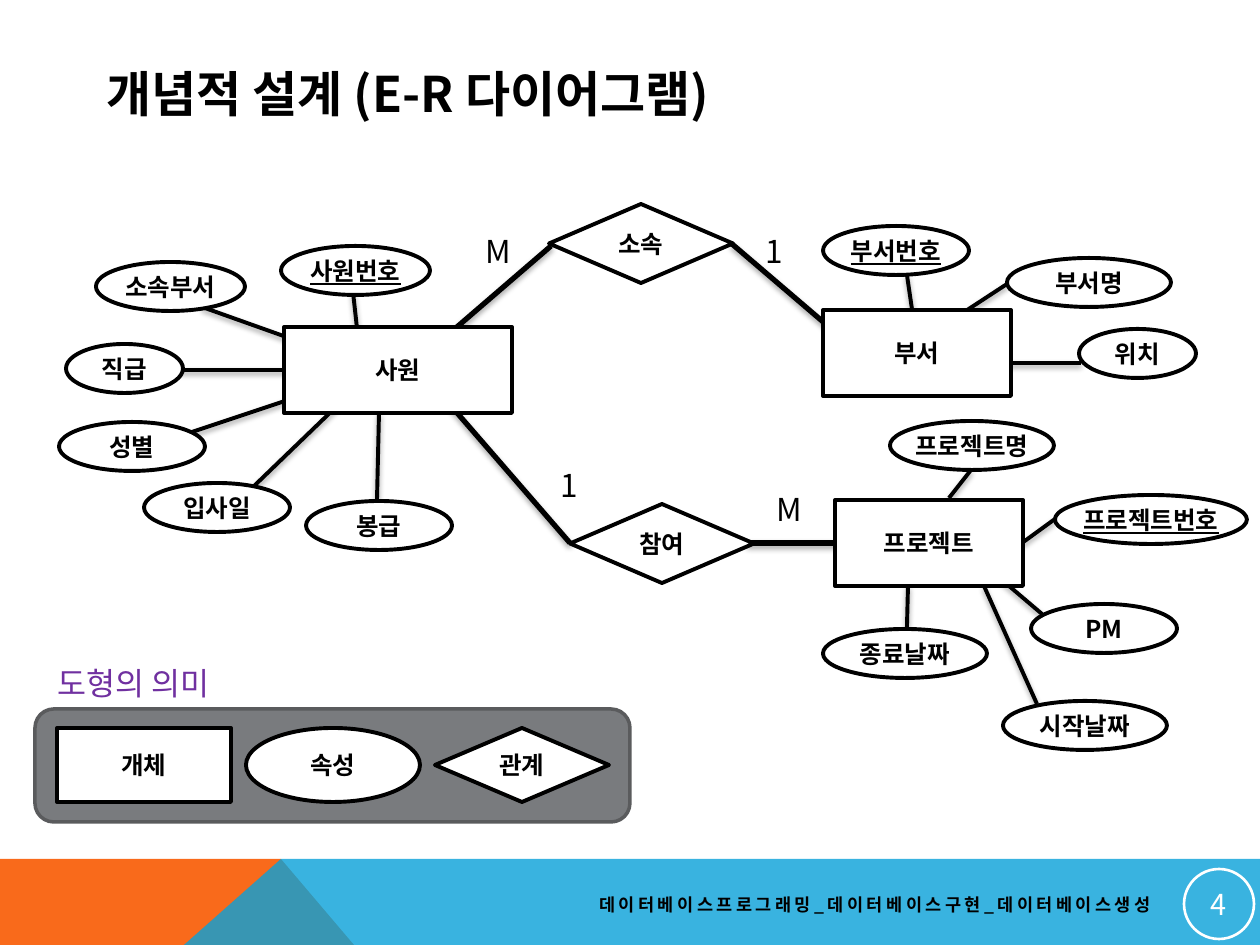
import dataclasses
import pptx
import pptx.util
import pptx.oxml
import pptx.oxml.ns
import pptx.dml.color
import pptx.enum.shapes
import pptx.enum.text

Kind = pptx.enum.shapes.MSO_SHAPE
Align = pptx.enum.text.PP_ALIGN
Anchor = pptx.enum.text.MSO_ANCHOR
NS = pptx.oxml.ns.nsdecls("a")
UNIT = 914400 / 126


@dataclasses.dataclass(frozen=True)
class Theme:
    """Colours and type sizes."""
    font: str = "Noto Sans CJK KR"
    ink: str = "000000"
    paper: str = "FFFFFF"
    warm: str = "F96A1B"
    cool: str = "08A1D9"
    panel: str = "797B7E"
    edge: str = "5A5B5D"
    accent: str = "7030A0"
    title: float = 28
    label: float = 18
    number: float = 16.5
    node: float = 14
    foot: float = 10


THEME = Theme()


def emu(*nums):
    """Turn pixels into EMU."""
    return [round(n * UNIT) for n in nums]


def shift(box, x, y):
    """Return a point relative to the corner of a box."""
    return box[0] + x, box[1] + y


def rgb(code):
    """Make a colour from its hex code."""
    return pptx.dml.color.RGBColor.from_string(code)


def write(shape, text, size, color=THEME.ink, bold=False, under=False,
          align=Align.CENTER, anchor=Anchor.MIDDLE, wrap=False, gap=0):
    """Put one styled paragraph into a shape."""
    frame = shape.text_frame
    frame.text = text
    frame.word_wrap = wrap
    frame.vertical_anchor = anchor
    para = frame.paragraphs[0]
    para.alignment = align
    font = para.font
    font.size = pptx.util.Pt(size)
    font.bold = bold
    font.underline = under
    font.color.rgb = rgb(color)
    font.name = THEME.font
    props = para._p.pPr.find(pptx.oxml.ns.qn("a:defRPr"))
    props.append(pptx.oxml.parse_xml(f'<a:ea {NS} typeface="{THEME.font}"/>'))
    if gap:
        props.set("spc", str(gap * 100))


def paint(shape, fill=None, line=None, width=2.25):
    """Set fill and line of a shape, without shadow."""
    shape.shadow.inherit = False
    if fill:
        shape.fill.solid()
        shape.fill.fore_color.rgb = rgb(fill)
    else:
        shape.fill.background()
    if line:
        shape.line.color.rgb = rgb(line)
        shape.line.width = pptx.util.Pt(width)
    else:
        shape.line.fill.background()


def node(shapes, kind, box, text, under=False):
    """Draw an outlined shape with a bold name."""
    shape = shapes.add_shape(kind, *emu(*box))
    paint(shape, THEME.paper, THEME.ink)
    write(shape, text, THEME.node, bold=True, under=under)


def note(shapes, box, text, size, **style):
    """Draw a text box."""
    write(shapes.add_textbox(*emu(*box)), text, size, **style)


def link(shapes, start, end, width=2.25):
    """Draw a straight line with a soft shadow."""
    line = shapes.add_connector(pptx.enum.shapes.MSO_CONNECTOR.STRAIGHT,
                                *emu(*start, *end))
    line.line.color.rgb = rgb(THEME.ink)
    line.line.width = pptx.util.Pt(width)
    line._element.spPr.append(pptx.oxml.parse_xml(
        f'<a:effectLst {NS}><a:outerShdw blurRad="40000" dist="23000" '
        'dir="5400000" rotWithShape="0"><a:srgbClr val="000000">'
        '<a:alpha val="35000"/></a:srgbClr></a:outerShdw></a:effectLst>'))


def area(shapes, points, fill):
    """Draw a filled polygon."""
    form = shapes.build_freeform(*points[0], scale=UNIT)
    form.add_line_segments(points[1:], close=True)
    shape = form.convert_to_shape()
    paint(shape, fill)
    return shape


def band(shapes, box, text, page):
    """Draw the bottom band with footer and page number."""
    x, y, w, h = box
    peak, end = (x + 281, y), y + h
    area(shapes, [(x, y), peak, (x + 354, end), (x, end)], THEME.warm)
    blue = area(shapes, [peak, (x + w, y), (x + w, end), (x + 184, end)],
                THEME.cool)
    tint = blue._element.spPr.find(".//" + pptx.oxml.ns.qn("a:srgbClr"))
    tint.append(pptx.oxml.parse_xml(f'<a:alpha {NS} val="80000"/>'))
    note(shapes, (*shift(box, 512, 27), 651, 38), text, THEME.foot,
         bold=True, align=Align.RIGHT, wrap=True, gap=2)
    disc = shapes.add_shape(Kind.OVAL, *emu(*shift(box, 1184, 10), 70, 70))
    paint(disc, None, THEME.paper, 1.5)
    write(disc, page, THEME.number, THEME.paper)
    frame = disc.text_frame
    frame.margin_left = frame.margin_right = emu(1)[0]
    frame.margin_top = frame.margin_bottom = emu(1)[0]


def head(shapes, box, text):
    """Place the slide title."""
    title = shapes.title
    title.left, title.top, title.width, title.height = emu(*box)
    write(title, text, THEME.title, bold=True, align=Align.LEFT, wrap=True)
    title.text_frame.auto_size = pptx.enum.text.MSO_AUTO_SIZE.NONE


def tie(shapes, box, name, arms):
    """Draw a relation with its arms and their counts."""
    for text, spot, start, end in arms:
        link(shapes, shift(box, *start), shift(box, *end), 3)
        note(shapes, (*shift(box, *spot), 54, 50), text, THEME.label,
             align=Align.LEFT, anchor=Anchor.TOP)
    node(shapes, Kind.DIAMOND, box, name)


def entity(shapes, box, name, traits):
    """Draw an entity with its attributes; the key is underlined."""
    for text, spot, width, start, end in traits:
        link(shapes, shift(box, *start), shift(box, *end))
        node(shapes, Kind.OVAL, (*shift(box, *spot), width, 49), text,
             under=text.endswith("번호"))
    node(shapes, Kind.RECTANGLE, box, name)


def legend(shapes, box, text, items):
    """Draw the key to the shapes."""
    panel = shapes.add_shape(Kind.ROUNDED_RECTANGLE, *emu(*box))
    paint(panel, THEME.panel, THEME.edge, 2)
    note(shapes, (*shift(box, 10, -51), 195, 50), text, THEME.label,
         color=THEME.accent, align=Align.LEFT, anchor=Anchor.TOP)
    group = shapes.add_group_shape().shapes
    for i, (kind, name) in enumerate(items):
        node(group, kind, (*shift(box, 22 + 189 * i, 19), 174, 74), name)


TIES = [
    ((549, 204, 184, 79), "소속", [
        ("M", (-76, 22), (2, 42), (-99, 129)),
        ("1", (204, 22), (183, 40), (300, 140))]),
    ((570, 504, 184, 79), "참여", [
        ("1", (-22, -44), (0, 39), (-118, -97)),
        ("M", (194, -20), (177, 39), (283, 39))]),
]
ENTITIES = [
    ((284, 327, 228, 86), "사원", [
        ("소속부서", (-188, -65), 149, (-82, -20), (22, 17)),
        ("사원번호", (-3, -81), 149, (69, -35), (73, 1)),
        ("직급", (-218, 17), 117, (-115, 43), (3, 43)),
        ("성별", (-225, 95), 146, (-95, 106), (22, 67)),
        ("입사일", (-140, 156), 146, (-33, 162), (52, 80)),
        ("봉급", (22, 174), 146, (93, 174), (95, 86))]),
    ((823, 310, 188, 86), "부서", [
        ("부서번호", (0, -84), 146, (84, -35), (89, -1)),
        ("부서명", (184, -52), 164, (184, -26), (132, 8)),
        ("위치", (256, 19), 117, (258, 53), (181, 53))]),
    ((835, 500, 188, 86), "프로젝트", [
        ("프로젝트명", (55, -79), 164, (136, -30), (114, -2)),
        ("프로젝트번호", (220, -5), 192, (220, 19), (187, 43)),
        ("PM", (196, 104), 146, (207, 114), (167, 80)),
        ("시작날짜", (168, 201), 164, (202, 204), (149, 86)),
        ("종료날짜", (-12, 129), 164, (72, 127), (73, 86))]),
]
ITEMS = [(Kind.RECTANGLE, "개체"), (Kind.OVAL, "속성"),
         (Kind.FLOWCHART_DECISION, "관계")]

deck = pptx.Presentation()
deck.slide_width, deck.slide_height = emu(1260, 945)
shapes = deck.slides.add_slide(deck.slide_layouts[5]).shapes
band(shapes, (0, 859, 1260, 86),
     "데이터베이스프로그래밍_데이터베이스구현_데이터베이스생성", "4")
head(shapes, (94, 55, 1036, 76), "개념적 설계 (E-R 다이어그램)")
for row in TIES:
    tie(shapes, *row)
for row in ENTITIES:
    entity(shapes, *row)
legend(shapes, (35, 709, 595, 113), "도형의 의미", ITEMS)
deck.save("out.pptx")
